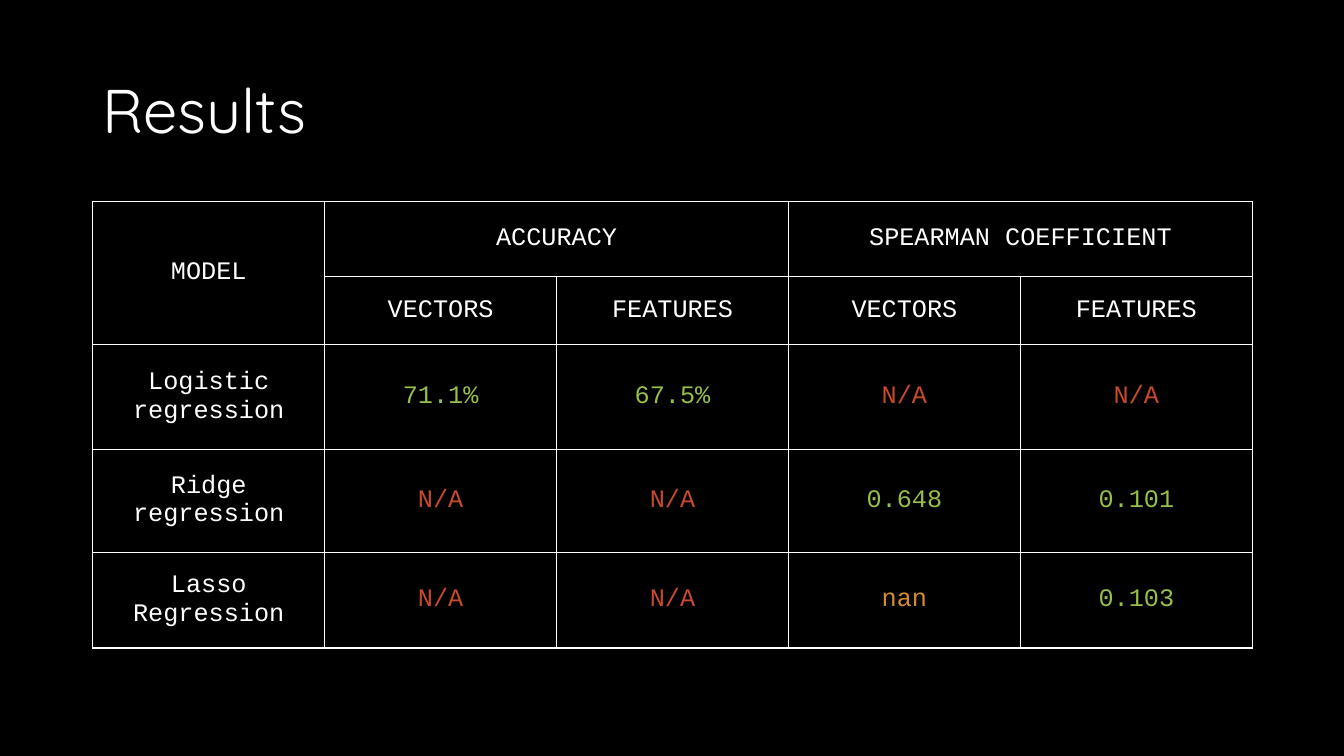
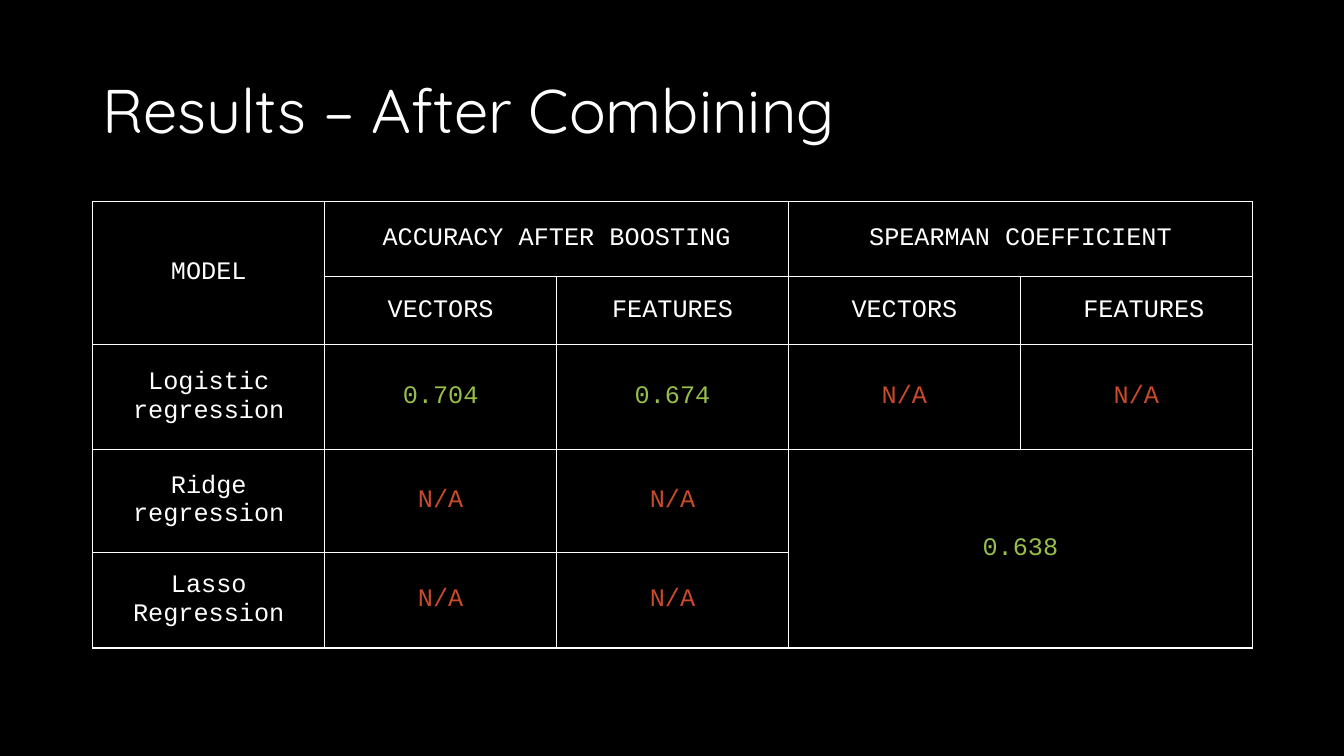
from lxml import etree
from pptx import Presentation
from pptx.dml.color import RGBColor
from pptx.enum.text import MSO_ANCHOR, PP_ALIGN
from pptx.oxml.ns import qn
from pptx.util import Pt

MIDDLE = MSO_ANCHOR.MIDDLE
LEFT, CENTER = PP_ALIGN.LEFT, PP_ALIGN.CENTER

BLACK, WHITE = "000000", "FFFFFF"
GREEN, RED, AMBER = "97BE49", "C9492C", "D58C2E"
HEAD, BODY = "Quicksand", "Courier New"
PX = 9144
SIZE = (1333, 750)
TITLE = (92, 40, 1150, 145)
GRID = (92, 200)
COL = 230
ROWS = [74, 68, 104, 102, 95]

SPANS = [(0, 0, 1, 0), (0, 1, 0, 2), (0, 3, 0, 4)]
SLIDES = [
    {
        "title": "Results",
        "spans": SPANS,
        "cells": [
            ["MODEL", "ACCURACY", None, "SPEARMAN COEFFICIENT", None],
            [None, "VECTORS", "FEATURES", "VECTORS", "FEATURES"],
            ["Logistic regression", "71.1%", "67.5%", "N/A", "N/A"],
            ["Ridge regression", "N/A", "N/A", "0.648", "0.101"],
            ["Lasso Regression", "N/A", "N/A", "nan", "0.103"],
        ],
    },
    {
        "title": "Results – After Combining",
        "spans": SPANS + [(3, 3, 4, 4)],
        "cells": [
            ["MODEL", "ACCURACY AFTER BOOSTING", None, "SPEARMAN COEFFICIENT", None],
            [None, "VECTORS", "FEATURES", "VECTORS", " FEATURES"],
            ["Logistic regression", "0.704", "0.674", "N/A", "N/A"],
            ["Ridge regression", "N/A", "N/A", "0.638", None],
            ["Lasso Regression", "N/A", "N/A", None, None],
        ],
    },
]


def px(*nums):
    return [n * PX for n in nums]


def rgb(code):
    return RGBColor.from_string(code)


def write(frame, text, font=BODY, size=18, color=WHITE, align=CENTER, space=None):
    para = frame.paragraphs[0]
    para.alignment = align
    para.line_spacing = space
    run = para.add_run()
    run.text = text
    run.font.name = font
    run.font.size = Pt(size)
    run.font.color.rgb = rgb(color)


def tint(text):
    if text[0].isdigit():
        return GREEN
    return {"N/A": RED, "nan": AMBER}.get(text, WHITE)


def frame_cell(cell):
    props = cell._tc.get_or_add_tcPr()
    for side in ("lnL", "lnR", "lnT", "lnB"):
        line = etree.SubElement(props, qn("a:" + side), w=str(Pt(1)))
        fill = etree.SubElement(line, qn("a:solidFill"))
        etree.SubElement(fill, qn("a:srgbClr"), val=WHITE)
    cell.fill.background()
    cell.vertical_anchor = MIDDLE


def add_title(slide, text):
    frame = slide.shapes.add_textbox(*px(*TITLE)).text_frame
    frame.word_wrap = True
    frame.vertical_anchor = MIDDLE
    write(frame, text, font=HEAD, size=44, align=LEFT, space=0.9)


def add_grid(slide, cells, spans):
    count = len(cells[0])
    area = px(*GRID, COL * count, sum(ROWS))
    table = slide.shapes.add_table(len(cells), count, *area).table
    table.first_row = table.horz_banding = False
    for col in table.columns:
        col.width = COL * PX
    for r, (high, line) in enumerate(zip(ROWS, cells)):
        table.rows[r].height = high * PX
        for c, text in enumerate(line):
            cell = table.cell(r, c)
            frame_cell(cell)
            if text:
                write(cell.text_frame, text, color=tint(text))
    for top, left, low, right in spans:
        table.cell(top, left).merge(table.cell(low, right))


def main():
    deck = Presentation()
    deck.slide_width, deck.slide_height = px(*SIZE)
    for item in SLIDES:
        slide = deck.slides.add_slide(deck.slide_layouts[6])
        back = slide.background.fill
        back.solid()
        back.fore_color.rgb = rgb(BLACK)
        add_title(slide, item["title"])
        add_grid(slide, item["cells"], item["spans"])
    deck.save("out.pptx")


if __name__ == "__main__":
    main()
